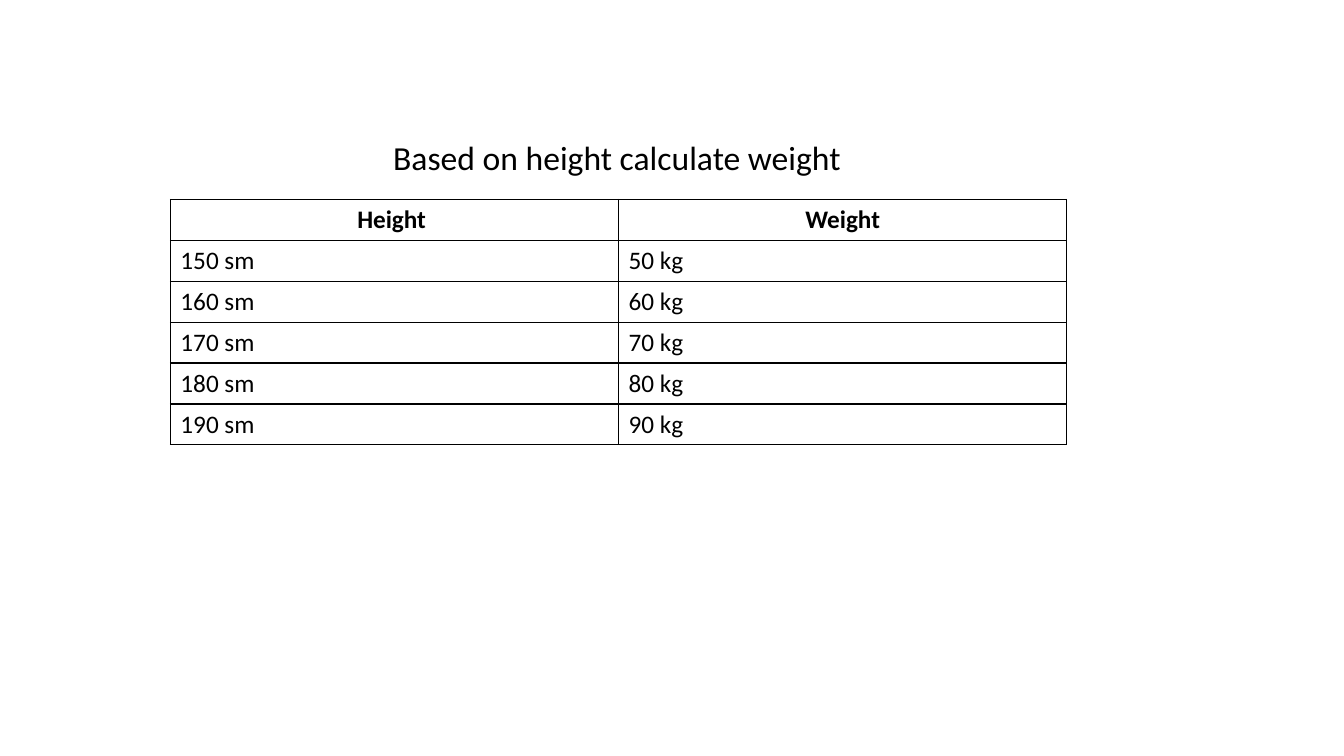
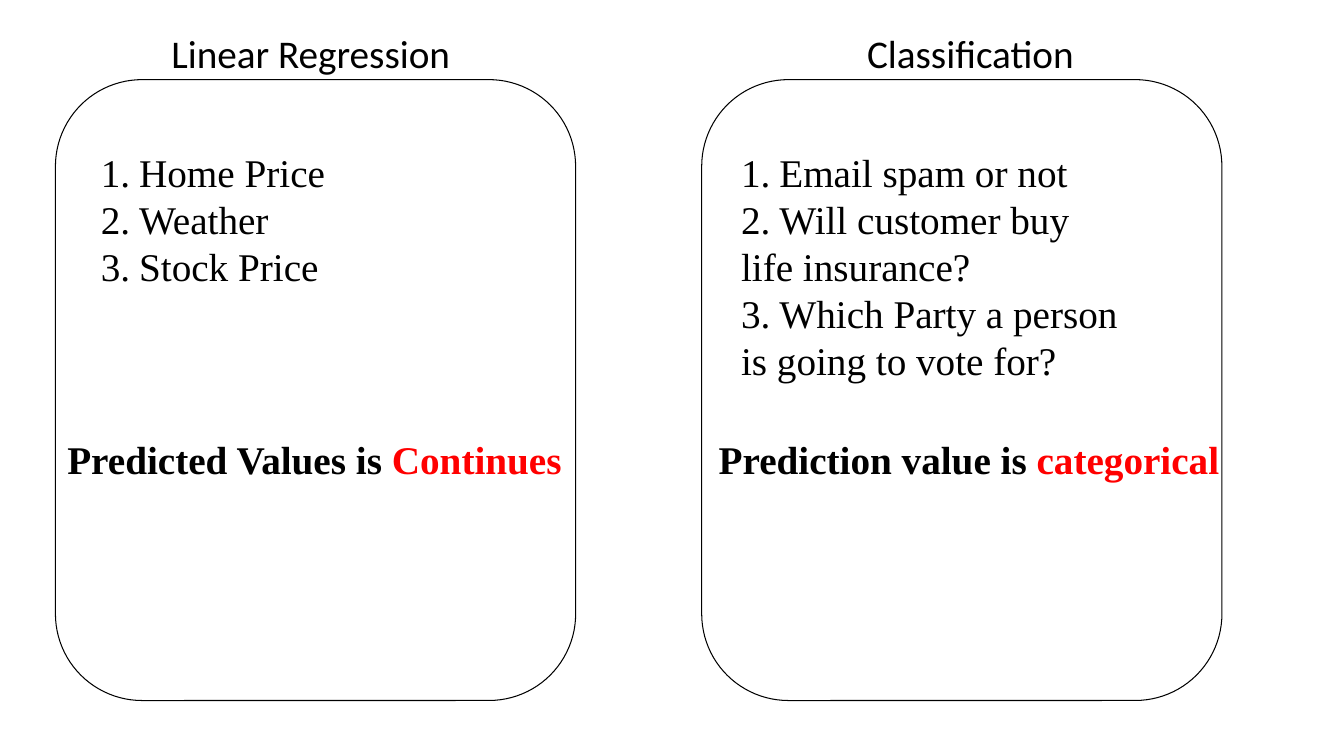
"""Build two slides: a height and weight table, and regression beside classification."""
from dataclasses import dataclass

from lxml.etree import SubElement
from pptx import Presentation
from pptx.dml.color import RGBColor as Rgb
from pptx.enum.shapes import MSO_SHAPE as Kind
from pptx.enum.text import MSO_ANCHOR as Anchor, MSO_AUTO_SIZE as Fit, PP_ALIGN as Align
from pptx.oxml import parse_xml
from pptx.oxml.ns import nsdecls, qn
from pptx.util import Inches, Pt

COLORS = {"ink": "000000", "accent": "FF0000"}
SANS, SERIF = "Calibri", "Times New Roman"
TITLE_ONLY, COMPARE = 5, 4
HANG = 0.38
ROWS = [("Height ", "Weight")] + [(f"{h} sm", f"{h - 100} kg") for h in range(150, 200, 10)]


@dataclass
class Box:
    left: float
    top: float
    width: float
    height: float

    def emu(self) -> tuple:
        return tuple(Inches(n) for n in (self.left, self.top, self.width, self.height))


@dataclass
class Item:
    text: str
    num: int = 0


@dataclass
class Panel:
    card: Box
    head: str
    head_box: Box
    items: list[Item]
    list_box: Box
    lead: str
    key: str
    note_box: Box


PANELS = [
    Panel(Box(0.55, 0.79, 5.16, 6.16),
          "Linear Regression", Box(1.6, 0.24, 3.08, 0.57),
          [Item("Home Price", 1), Item("Weather", 2), Item("Stock Price", 3)],
          Box(0.9, 1.42, 2.54, 1.51),
          "Predicted Values is ", "Continues", Box(0.57, 4.27, 5.26, 0.57)),
    Panel(Box(6.96, 0.79, 5.16, 6.16),
          "Classification", Box(8.5, 0.24, 2.37, 0.57),
          [Item("Email spam or not", 1), Item("Will customer buy", 2), Item("life insurance?"),
           Item("Which Party a person", 3), Item("is going to vote for?")],
          Box(7.25, 1.42, 4.07, 2.46),
          "Prediction value is ", "categorical", Box(7.03, 4.27, 5.32, 0.57)),
]


def paint(font, color: str) -> None:
    font.color.rgb = Rgb.from_string(COLORS[color])


def style(para, size: int, face: str, bold: bool = False, align=Align.LEFT) -> None:
    para.alignment = align
    font = para.font
    font.size, font.name, font.bold = Pt(size), face, bold
    paint(font, "ink")


def number(para, num: int) -> None:
    props = para._p.get_or_add_pPr()
    hang = Inches(HANG) if num else 0
    props.set("marL", str(hang))
    props.set("indent", str(-hang))
    if num:
        SubElement(props, qn("a:buFont"), typeface="+mj-lt")
        SubElement(props, qn("a:buAutoNum"), type="arabicPeriod", startAt=str(num))
    else:
        SubElement(props, qn("a:buNone"))


def place(shape, box: Box):
    shape.left, shape.top, shape.width, shape.height = box.emu()
    frame = shape.text_frame
    frame.word_wrap = False
    frame.auto_size = Fit.NONE
    frame.vertical_anchor = Anchor.TOP
    return frame


def write(shape, box: Box, items: list[Item], size: int, face: str) -> None:
    frame = place(shape, box)
    frame.text = "\n".join(item.text for item in items)
    for para, item in zip(frame.paragraphs, items):
        para.space_before = Pt(0)
        number(para, item.num)
        style(para, size, face)


def border(cell) -> None:
    props = cell._tc.get_or_add_tcPr()
    for at, side in enumerate("LRTB"):
        props.insert(at, parse_xml(
            f'<a:ln{side} {nsdecls("a")} w="{Pt(1)}"><a:solidFill>'
            f'<a:srgbClr val="{COLORS["ink"]}"/></a:solidFill></a:ln{side}>'))


def add_grid(slide, box: Box) -> None:
    grid = slide.shapes.add_table(len(ROWS), len(ROWS[0]), *box.emu()).table
    grid.first_row = grid.horz_banding = False
    for r, row in enumerate(ROWS):
        for c, text in enumerate(row):
            cell = grid.cell(r, c)
            cell.text = text
            cell.fill.background()
            border(cell)
            style(cell.text_frame.paragraphs[0], 18, SANS, r == 0,
                  Align.LEFT if r else Align.CENTER)


def add_panel(slide, panel: Panel, head, body) -> None:
    card = slide.shapes.add_shape(Kind.ROUNDED_RECTANGLE, *panel.card.emu())
    card.shadow.inherit = False
    card.fill.background()
    card.line.color.rgb = Rgb.from_string(COLORS["ink"])
    card.line.width = Pt(0.75)
    write(head, panel.head_box, [Item(panel.head)], 28, SANS)
    write(body, panel.list_box, panel.items, 28, SERIF)
    note = slide.shapes.add_textbox(*panel.note_box.emu())
    para = place(note, panel.note_box).paragraphs[0]
    style(para, 28, SERIF, True)
    for text, color in ((panel.lead, "ink"), (panel.key, "accent")):
        run = para.add_run()
        run.text = text
        paint(run.font, color)


def main() -> None:
    deck = Presentation()
    deck.slide_width, deck.slide_height = Inches(13.33), Inches(7.5)

    slide = deck.slides.add_slide(deck.slide_layouts[TITLE_ONLY])
    write(slide.shapes.title, Box(3.8, 1.31, 4.68, 0.5),
          [Item("Based on height calculate weight")], 24, SANS)
    add_grid(slide, Box(1.69, 1.98, 8.89, 2.43))

    slide = deck.slides.add_slide(deck.slide_layouts[COMPARE])
    title, *slots = slide.placeholders
    title.element.getparent().remove(title.element)
    for panel, head, body in zip(PANELS, slots[::2], slots[1::2]):
        add_panel(slide, panel, head, body)

    deck.save("out.pptx")


if __name__ == "__main__":
    main()
